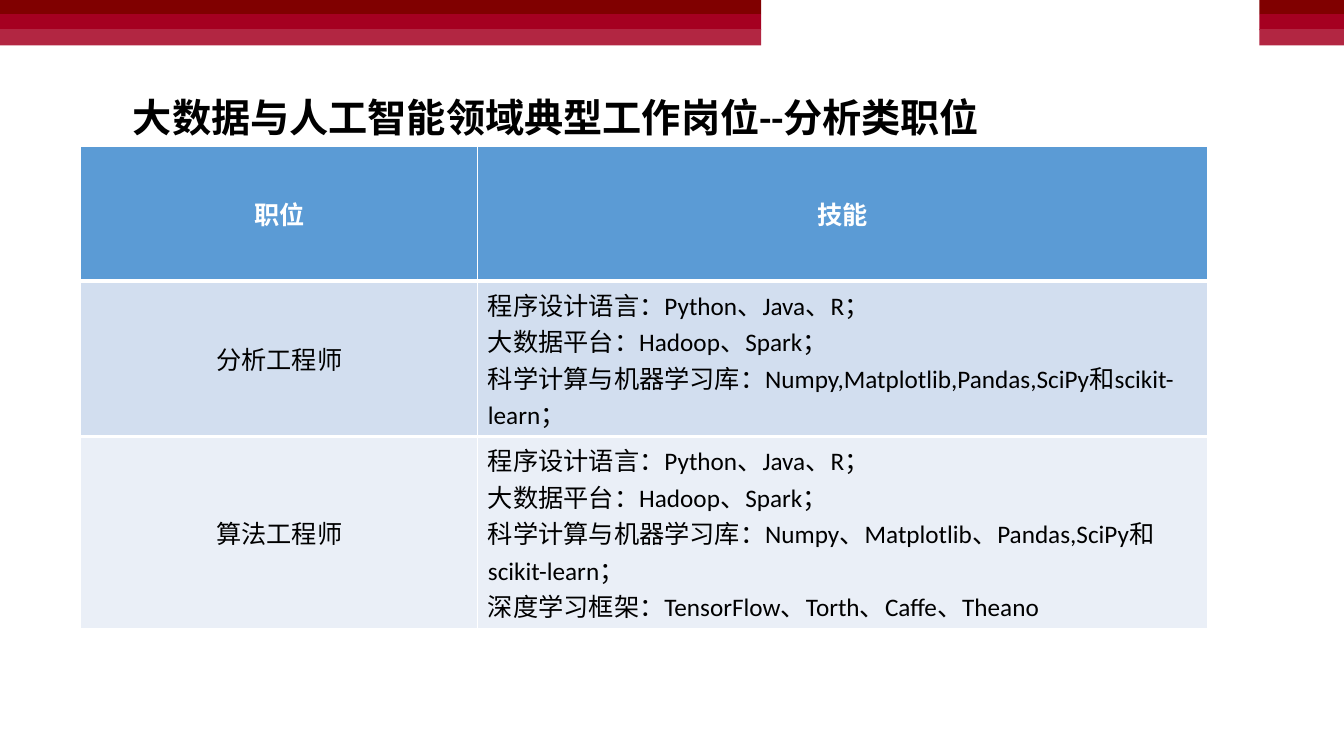
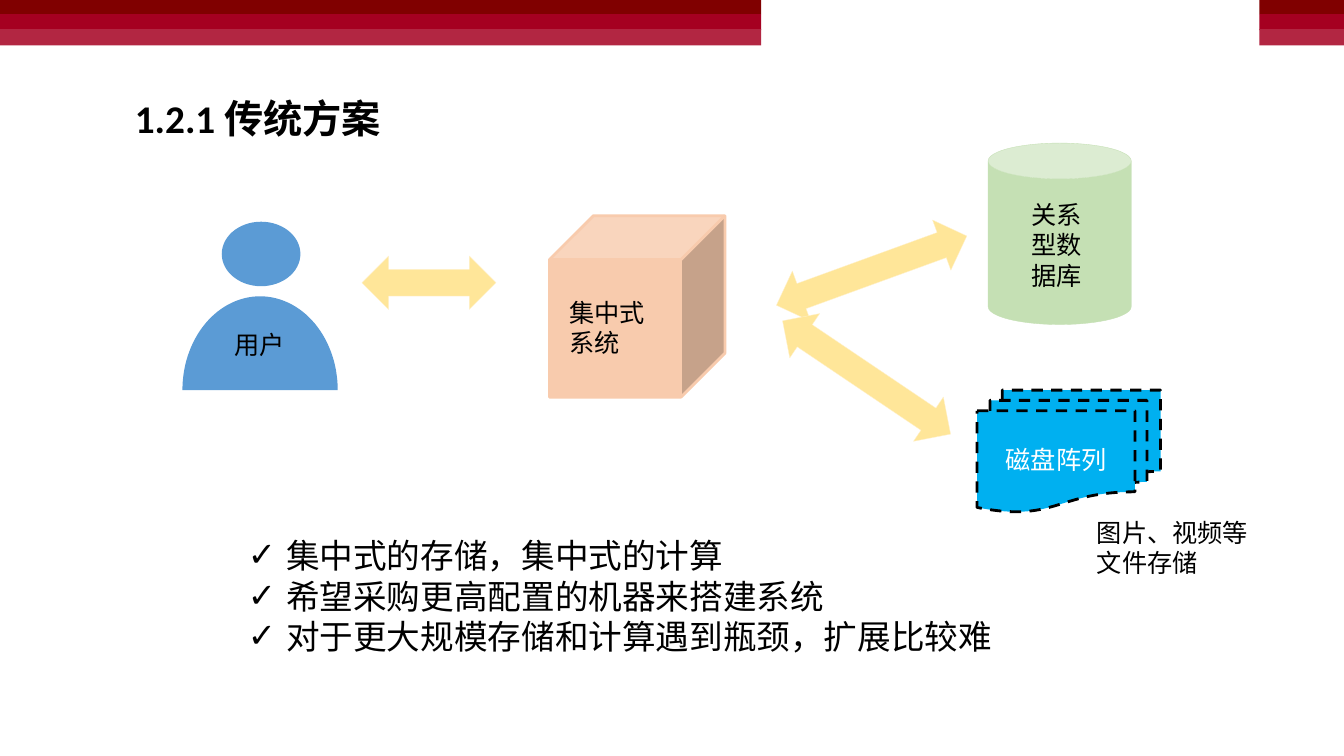
"""Build two slides: a table of analyst jobs and a diagram of the traditional solution."""
from dataclasses import dataclass
from math import cos, pi, sin
from typing import Optional

from lxml import etree
from pptx import Presentation
from pptx.dml.color import RGBColor
from pptx.enum.dml import MSO_LINE
from pptx.enum.shapes import MSO_SHAPE as SHAPE
from pptx.enum.text import MSO_ANCHOR as ANCHOR, MSO_AUTO_SIZE as AUTO, PP_ALIGN as ALIGN
from pptx.oxml.ns import qn
from pptx.util import Pt

PX = 9144
CURVE_UNITS = 100
FONT = "Calibri"
COLORS = {
    "black": "000000",
    "white": "FFFFFF",
    "maroon": "800000",
    "crimson": "A50021",
    "rose": "B22642",
    "blue": "5B9BD5",
    "row_dark": "D2DEEF",
    "row_light": "EAEFF7",
    "gold": "FFE699",
    "gold_line": "FFF2CC",
    "peach": "F8CBAD",
    "green": "C5E0B4",
    "sky": "00B0F0",
}


@dataclass(frozen=True)
class Box:
    x: int
    y: int
    w: int
    h: int

    def emu(self) -> tuple[int, int, int, int]:
        return self.x * PX, self.y * PX, self.w * PX, self.h * PX


@dataclass(frozen=True)
class Node:
    kind: SHAPE
    box: Box
    fill: str
    line: Optional[str] = None
    width: float = 0.25
    rotation: int = 0
    dashed: bool = False
    text: str = ""


@dataclass(frozen=True)
class Label:
    box: Box
    text: str
    size: int = 18
    bold: bool = False
    wrap: bool = True
    bullet: str = ""


@dataclass(frozen=True)
class Ellipse:
    cx: int
    cy: int
    rx: int
    ry: int

    def arc(self, sweep: float, steps: int = 60) -> list[tuple[float, float]]:
        angles = [pi + sweep * i / steps for i in range(steps + 1)]
        return [((self.cx + self.rx * cos(a)) * CURVE_UNITS,
                 (self.cy + self.ry * sin(a)) * CURVE_UNITS) for a in angles]


BAND_ROWS = [("maroon", 0, 14), ("crimson", 14, 16), ("rose", 29, 16)]
BAND_COLUMNS = [(0, 755), (1249, 84)]

JOBS_TITLE = Label(Box(122, 88, 946, 57), "大数据与人工智能领域典型工作岗位--分析类职位", 28, True)
JOBS_COLUMNS = [394, 724]
JOBS_ROWS = [134, 154, 191]
JOBS_BOX = Box(80, 145, sum(JOBS_COLUMNS), sum(JOBS_ROWS))
JOBS_FILLS = ["blue", "row_dark", "row_light"]
JOBS = [
    ("职位", "技能"),
    ("分析工程师",
     "程序设计语言：Python、Java、R；\n"
     "大数据平台：Hadoop、Spark；\n"
     "科学计算与机器学习库：Numpy,Matplotlib,Pandas,SciPy和scikit-learn；"),
    ("算法工程师",
     "程序设计语言：Python、Java、R；\n"
     "大数据平台：Hadoop、Spark；\n"
     "科学计算与机器学习库：Numpy、Matplotlib、Pandas,SciPy和scikit-learn；\n"
     "深度学习框架：TensorFlow、Torth、Caffe、Theano"),
]

SOLUTION_TITLE = Label(Box(124, 89, 790, 57), "1.2.1 传统方案", 28, True)
USER_BODY = Ellipse(258, 387, 77, 93)
USER_HEAD = Ellipse(259, 252, 39, 32)
NODES = [
    Node(SHAPE.LEFT_RIGHT_ARROW, Box(359, 254, 133, 53), "gold", "gold_line"),
    Node(SHAPE.CUBE, Box(545, 214, 174, 180), "peach", "peach", 2),
    Node(SHAPE.LEFT_RIGHT_ARROW, Box(764, 242, 201, 53), "gold", "gold_line", rotation=340),
    Node(SHAPE.CAN, Box(980, 142, 142, 180), "green", "green"),
    Node(SHAPE.FLOWCHART_MULTIDOCUMENT, Box(969, 387, 182, 121), "sky", "black", 2,
         dashed=True, text="磁盘阵列"),
    Node(SHAPE.LEFT_RIGHT_ARROW, Box(759, 348, 201, 53), "gold", "gold_line", rotation=34),
]
LABELS = [
    Label(Box(236, 526, 842, 131),
          "集中式的存储，集中式的计算\n"
          "希望采购更高配置的机器来搭建系统\n"
          "对于更大规模存储和计算遇到瓶颈，扩展比较难", 24, bullet="✓"),
    Label(Box(223, 322, 70, 40), "用户", wrap=False),
    Label(Box(555, 290, 111, 71), "集中式系统"),
    Label(Box(1013, 193, 80, 101), "关系型数据库"),
    Label(Box(1078, 508, 202, 71), "图片、视频等\n文件存储"),
]


def rgb(name: str) -> RGBColor:
    return RGBColor.from_string(COLORS[name])


def paint(target, color: str) -> None:
    target.fill.solid()
    target.fill.fore_color.rgb = rgb(color)


def write(tf, text: str, size: int = 18, color: str = "black", bold: bool = False,
          align: ALIGN = ALIGN.LEFT) -> None:
    tf.text = text
    for p in tf.paragraphs:
        p.alignment = align
        for r in p.runs:
            r.font.name = FONT
            r.font.size = Pt(size)
            r.font.bold = bold
            r.font.color.rgb = rgb(color)


def add_bullet(p, char: str, indent: int = 38) -> None:
    pPr = p._p.get_or_add_pPr()
    pPr.set("marL", str(indent * PX))
    pPr.set("indent", str(-indent * PX))
    etree.SubElement(pPr, qn("a:buFont")).set("typeface", FONT)
    etree.SubElement(pPr, qn("a:buChar")).set("char", char)


def add_label(slide, label: Label) -> None:
    tf = slide.shapes.add_textbox(*label.box.emu()).text_frame
    tf.word_wrap = label.wrap
    tf.auto_size = AUTO.SHAPE_TO_FIT_TEXT
    write(tf, label.text, label.size, bold=label.bold)
    if label.bullet:
        for p in tf.paragraphs:
            add_bullet(p, label.bullet)


def add_node(slide, node: Node) -> None:
    sp = slide.shapes.add_shape(node.kind, *node.box.emu())
    sp.shadow.inherit = False
    sp.rotation = node.rotation
    paint(sp, node.fill)
    if node.line:
        sp.line.color.rgb = rgb(node.line)
        sp.line.width = Pt(node.width)
    else:
        sp.line.fill.background()
    if node.dashed:
        sp.line.dash_style = MSO_LINE.DASH
    if node.text:
        sp.text_frame.vertical_anchor = ANCHOR.MIDDLE
        write(sp.text_frame, node.text, color="white", align=ALIGN.CENTER)


def add_user(slide) -> None:
    body = USER_BODY.arc(pi)
    head = USER_HEAD.arc(2 * pi)
    builder = slide.shapes.build_freeform(*body[0], scale=PX / CURVE_UNITS)
    builder.add_line_segments(body[1:], close=True)
    builder.move_to(*head[0])
    builder.add_line_segments(head[1:], close=True)
    sp = builder.convert_to_shape()
    sp.shadow.inherit = False
    paint(sp, "blue")
    sp.line.fill.background()


def set_border(cell, side: str, color: str, width: int) -> None:
    ln = etree.Element(qn(f"a:{side}"), w=str(Pt(width)))
    fill = etree.SubElement(ln, qn("a:solidFill"))
    etree.SubElement(fill, qn("a:srgbClr"), val=COLORS[color])
    cell._tc.get_or_add_tcPr().insert(0, ln)


def add_jobs_table(slide) -> None:
    table = slide.shapes.add_table(len(JOBS), len(JOBS_COLUMNS), *JOBS_BOX.emu()).table
    for column, width in zip(table.columns, JOBS_COLUMNS):
        column.width = width * PX
    for i, (row, height) in enumerate(zip(table.rows, JOBS_ROWS)):
        row.height = height * PX
        header = i == 0
        for j, cell in enumerate(row.cells):
            paint(cell, JOBS_FILLS[i])
            cell.vertical_anchor = ANCHOR.MIDDLE
            write(cell.text_frame, JOBS[i][j], color="white" if header else "black", bold=header,
                  align=ALIGN.CENTER if header or j == 0 else ALIGN.LEFT)
            if i < 2:
                set_border(cell, "lnB" if header else "lnT", "white", 3)


def add_slide(prs, title: Label):
    slide = prs.slides.add_slide(prs.slide_layouts[6])
    for x, w in BAND_COLUMNS:
        for color, y, h in BAND_ROWS:
            add_node(slide, Node(SHAPE.RECTANGLE, Box(x, y, w, h), color))
    add_label(slide, title)
    return slide


def main() -> None:
    prs = Presentation()
    prs.slide_width, prs.slide_height = 1333 * PX, 750 * PX

    add_jobs_table(add_slide(prs, JOBS_TITLE))

    slide = add_slide(prs, SOLUTION_TITLE)
    add_user(slide)
    for node in NODES:
        add_node(slide, node)
    for label in LABELS:
        add_label(slide, label)

    prs.save("out.pptx")


if __name__ == "__main__":
    main()
